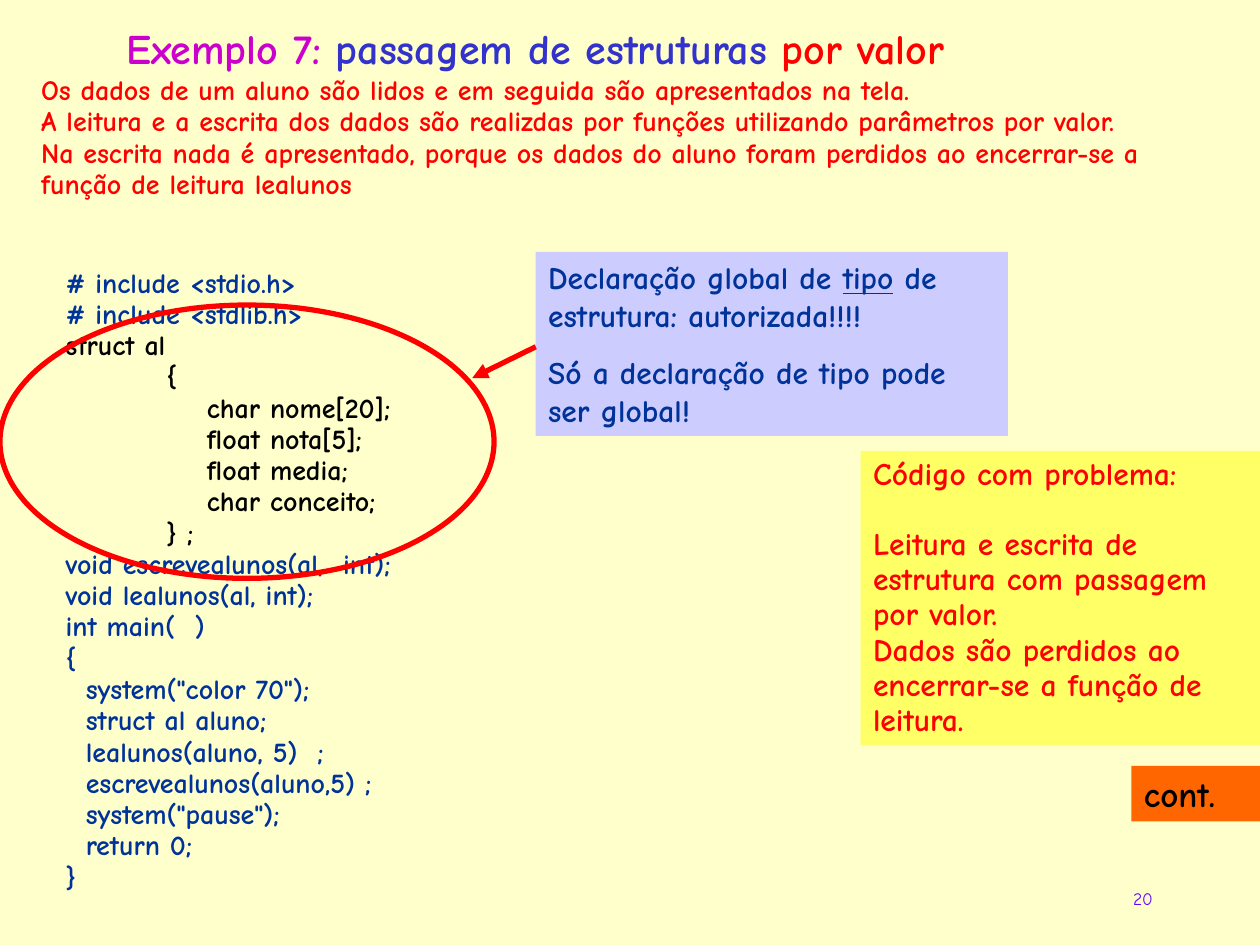
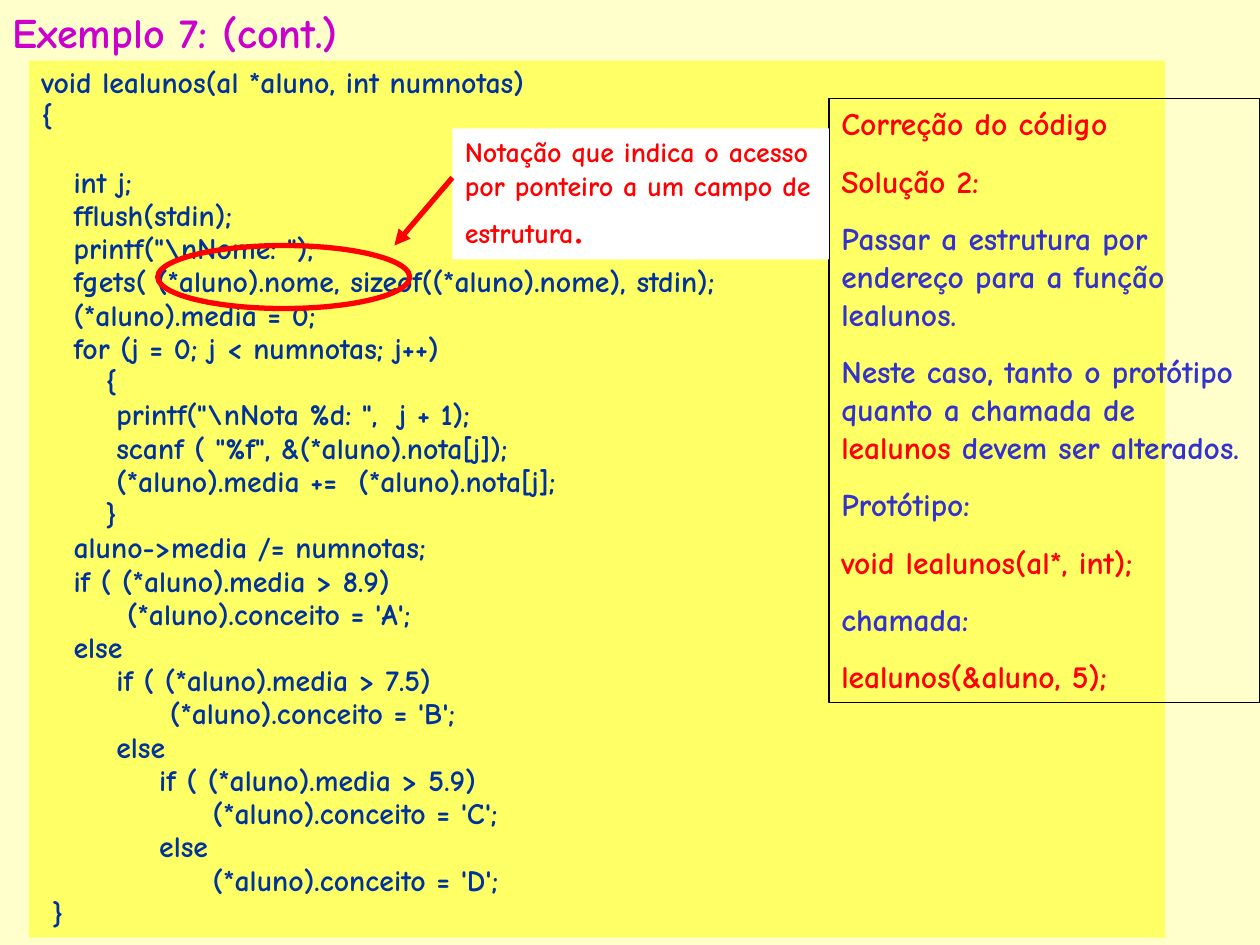
from pptx import Presentation
from pptx.dml.color import RGBColor
from pptx.enum.shapes import MSO_CONNECTOR as CONN, MSO_SHAPE as SHAPE
from pptx.enum.text import MSO_ANCHOR as ANCHOR, MSO_AUTO_SIZE as AUTO, PP_ALIGN as ALIGN
from pptx.oxml.ns import qn
from pptx.util import Cm, Pt
from lxml import etree

# Colours
CREAM = RGBColor(0xFF, 0xFF, 0xCC)
YELLOW = RGBColor(0xFF, 0xFF, 0x66)
LILAC = RGBColor(0xCC, 0xCC, 0xFF)
ORANGE = RGBColor(0xFF, 0x66, 0x00)
WHITE = RGBColor(0xFF, 0xFF, 0xFF)
BLACK = RGBColor(0x00, 0x00, 0x00)
RED = RGBColor(0xFF, 0x00, 0x00)
NAVY = RGBColor(0x00, 0x33, 0x99)
BLUE = RGBColor(0x33, 0x33, 0xCC)
MAGENTA = RGBColor(0xCC, 0x00, 0xCC)
VIOLET = RGBColor(0x66, 0x00, 0xFF)

# Type rules
FONT = "Comic Neue"
TIGHT = 0.93           # line spacing of code and dense text
SPACE_WIDTH = 0.36     # width of one code space, in ems
LINE_HEIGHT = 1.12     # height of one tight line, in ems

# Code listings; leading spaces become indents
INCLUDES = """
# include <stdio.h>
# include <stdlib.h>
"""

STRUCT = """
struct al
          {
              char nome[20];
              float nota[5];
              float media;
              char conceito;
          } ;
"""

MAIN = """
void escrevealunos(al,  int);
void lealunos(al, int);
int main(  )
{
  system("color 70");
  struct al aluno;
  lealunos(aluno, 5)  ;
  escrevealunos(aluno,5) ;
  system("pause");
  return 0;
}
"""

LEALUNOS = r"""
void lealunos(al *aluno, int numnotas)
{

   int j;
   fflush(stdin);
   printf("\nNome: ");
   fgets( (*aluno).nome, sizeof((*aluno).nome), stdin);
   (*aluno).media = 0;
   for (j = 0; j < numnotas; j++)
      {
       printf("\nNota %d: ",  j + 1);
       scanf ( "%f", &(*aluno).nota[j]);
       (*aluno).media +=  (*aluno).nota[j];
      }
   aluno->media /= numnotas;
   if ( (*aluno).media > 8.9)
        (*aluno).conceito = 'A';
   else
       if ( (*aluno).media > 7.5)
            (*aluno).conceito = 'B';
       else
           if ( (*aluno).media > 5.9)
                (*aluno).conceito = 'C';
           else
                (*aluno).conceito = 'D';
 }
"""


def set_attrs(obj, values):
    for name, value in values.items():
        setattr(obj, name, value)


def place(sp, left, top, width, height):
    set_attrs(sp, {"left": Cm(left), "top": Cm(top),
                   "width": Cm(width), "height": Cm(height)})


def setup_frame(sp):
    tf = sp.text_frame
    set_attrs(tf, {"word_wrap": True, "auto_size": AUTO.NONE,
                   "vertical_anchor": ANCHOR.TOP})
    return tf


def next_paragraph(tf, **fmt):
    first = tf.paragraphs[0]
    p = tf.add_paragraph() if first.runs else first
    set_attrs(p, {"alignment": ALIGN.LEFT, **fmt})
    return p


def add_run(p, text, color, size, **fmt):
    r = p.add_run()
    r.text = text
    set_attrs(r.font, {"name": FONT, "size": Pt(size), "bold": True, **fmt})
    r.font.color.rgb = color


def write(sp, paragraphs, size, **fmt):
    """Each paragraph is a list of (text, colour[, font values]) runs."""
    tf = setup_frame(sp)
    for runs in paragraphs:
        p = next_paragraph(tf, **fmt)
        for text, color, *font in runs:
            add_run(p, text, color, **{"size": size, **(font[0] if font else {})})
    return tf


def add_title(s, box, runs):
    sp = s.shapes.title
    place(sp, *box)
    write(sp, [runs], 24)
    s.shapes._spTree.append(sp._element)   # title lies over the boxes


def add_code(s, box, fill, parts, size):
    sp = s.placeholders[1]
    place(sp, *box)
    sp.fill.solid()
    sp.fill.fore_color.rgb = fill
    tf = setup_frame(sp)
    gap = 0
    for color, source in parts:
        for line in source.strip("\n").split("\n"):
            text = line.lstrip()
            if not text:
                gap = size * LINE_HEIGHT
                continue
            p = next_paragraph(tf, line_spacing=TIGHT, space_before=Pt(gap))
            gap = 0
            spaces = len(line) - len(text)
            pPr = p._p.get_or_add_pPr()
            pPr.set("marL", str(Pt(spaces * size * SPACE_WIDTH)))
            pPr.set("indent", "0")
            etree.SubElement(pPr, qn("a:buNone"))
            add_run(p, text, color, size)


def add_shape(s, kind, box, fill=None, line=None, width=0.75):
    sp = s.shapes.add_shape(kind, *[Cm(v) for v in box])
    sp.shadow.inherit = False
    if fill is None:
        sp.fill.background()
    else:
        sp.fill.solid()
        sp.fill.fore_color.rgb = fill
    if line is None:
        sp.line.fill.background()
    else:
        sp.line.color.rgb = line
        sp.line.width = Pt(width)
    return sp


def add_box(s, box, paragraphs, size, fill=None, line=None, **fmt):
    sp = add_shape(s, SHAPE.RECTANGLE, box, fill, line)
    return write(sp, paragraphs, size, **fmt)


def add_ring(s, box):
    add_shape(s, SHAPE.OVAL, box, line=RED, width=3)


def add_arrow(s, x1, y1, x2, y2):
    c = s.shapes.add_connector(CONN.STRAIGHT, Cm(x1), Cm(y1), Cm(x2), Cm(y2))
    c.line.color.rgb = RED
    c.line.width = Pt(3)
    etree.SubElement(c.line._get_or_add_ln(), qn("a:tailEnd"), type="triangle")
    etree.SubElement(c._element.spPr, qn("a:effectLst"))


def add_page_number(s, number):
    sp = s.shapes.add_textbox(Cm(18.21), Cm(17.78), Cm(5.28), Cm(0.69))
    write(sp, [[(number, VIOLET, {"bold": False})]], 10, alignment=ALIGN.RIGHT)


def build_by_value(s):
    add_page_number(s, "20")
    add_code(s, (1.07, 5.28, 20.8, 12.85), CREAM,
             [(NAVY, INCLUDES), (BLACK, STRUCT), (NAVY, MAIN)], 16)
    add_box(s, (22.81, 15.44, 2.59, 1.12), [[("cont.", BLACK)]], 20, ORANGE)

    # Global type declaration
    add_ring(s, (0, 6.15, 9.96, 5.51))
    add_box(s, (10.8, 5.08, 9.52, 3.71), [
        [("Declaração global de ", NAVY), ("tipo", NAVY, {"underline": True}),
         (" de estrutura: autorizada!!!!", NAVY)],
        [("Só a declaração de tipo pode ser global!", NAVY)],
    ], 18, LILAC, space_before=Pt(11.2))
    add_arrow(s, 10.8, 6.99, 9.52, 7.62)

    # Problem and introduction
    tf = add_box(s, (17.35, 9.09, 8.05, 5.94), [
        [("Código com problema:", RED)],
        [("Leitura e escrita de estrutura com passagem por valor.", RED)],
        [("Dados são perdidos ao encerrar-se a função de leitura.", RED)],
    ], 18, YELLOW, line_spacing=TIGHT)
    tf.paragraphs[1].space_before = Pt(18 * LINE_HEIGHT)
    add_box(s, (0.58, 1.4, 24, 2.77), [
        [("Os dados de um aluno são lidos e em seguida são apresentados na tela.", RED)],
        [("A leitura e a escrita dos dados são realizdas por funções utilizando "
          "parâmetros por valor.", RED)],
        [("Na escrita nada é apresentado, porque os dados do aluno foram perdidos "
          "ao encerrar-se a função de leitura lealunos", RED)],
    ], 16, CREAM, line_spacing=TIGHT)
    add_title(s, (2.29, 0.33, 19.81, 1.27),
              [("Exemplo 7: ", MAGENTA), ("passagem de estruturas ", BLUE),
               ("por valor", RED)])


def build_by_address(s):
    add_code(s, (0.58, 1.22, 22.91, 17.68), YELLOW, [(NAVY, LEALUNOS)], 17)

    # Correction
    add_box(s, (16.71, 1.98, 8.69, 12.19), [
        [("Correção do código", RED)],
        [("Solução 2:", RED)],
        [("Passar a estrutura por endereço para a função lealunos.", BLUE)],
        [("Neste caso, tanto o protótipo quanto a chamada de ", BLUE),
         ("lealunos ", RED), ("devem ser alterados.", BLUE)],
        [("Protótipo:", BLUE)],
        [("void lealunos(al*, int);", RED)],
        [("chamada:", BLUE)],
        [("lealunos(&aluno, 5);", RED)],
    ], 18, line=BLACK, space_before=Pt(11.2))

    # Pointer notation
    add_ring(s, (3.18, 4.95, 5.08, 1.27))
    add_box(s, (9.12, 2.59, 7.59, 2.64), [
        [("Notação que indica o acesso por ponteiro a um campo de estrutura", RED),
         (".", RED, {"size": 24, "name": "Times New Roman", "bold": False})],
    ], 16, WHITE)
    add_arrow(s, 9.12, 3.58, 7.95, 4.95)
    add_title(s, (0, 0, 8.23, 1.27), [("Exemplo 7: (cont.)", MAGENTA)])


def main():
    prs = Presentation()
    set_attrs(prs, {"slide_width": Cm(25.4), "slide_height": Cm(19.05)})
    background = prs.slide_master.background.fill
    background.solid()
    background.fore_color.rgb = CREAM
    for build in (build_by_value, build_by_address):
        build(prs.slides.add_slide(prs.slide_layouts[1]))
    prs.save("out.pptx")


if __name__ == "__main__":
    main()
